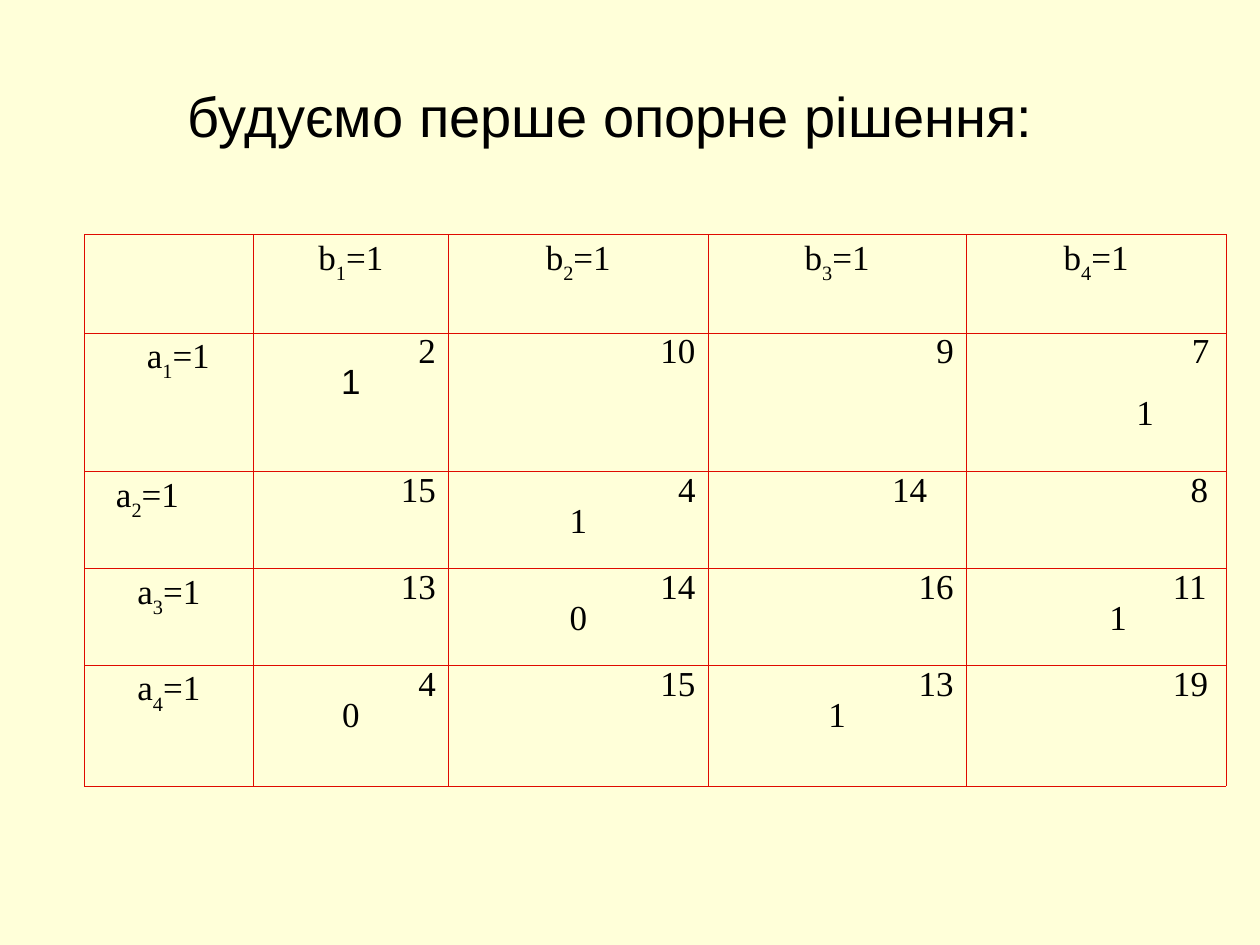
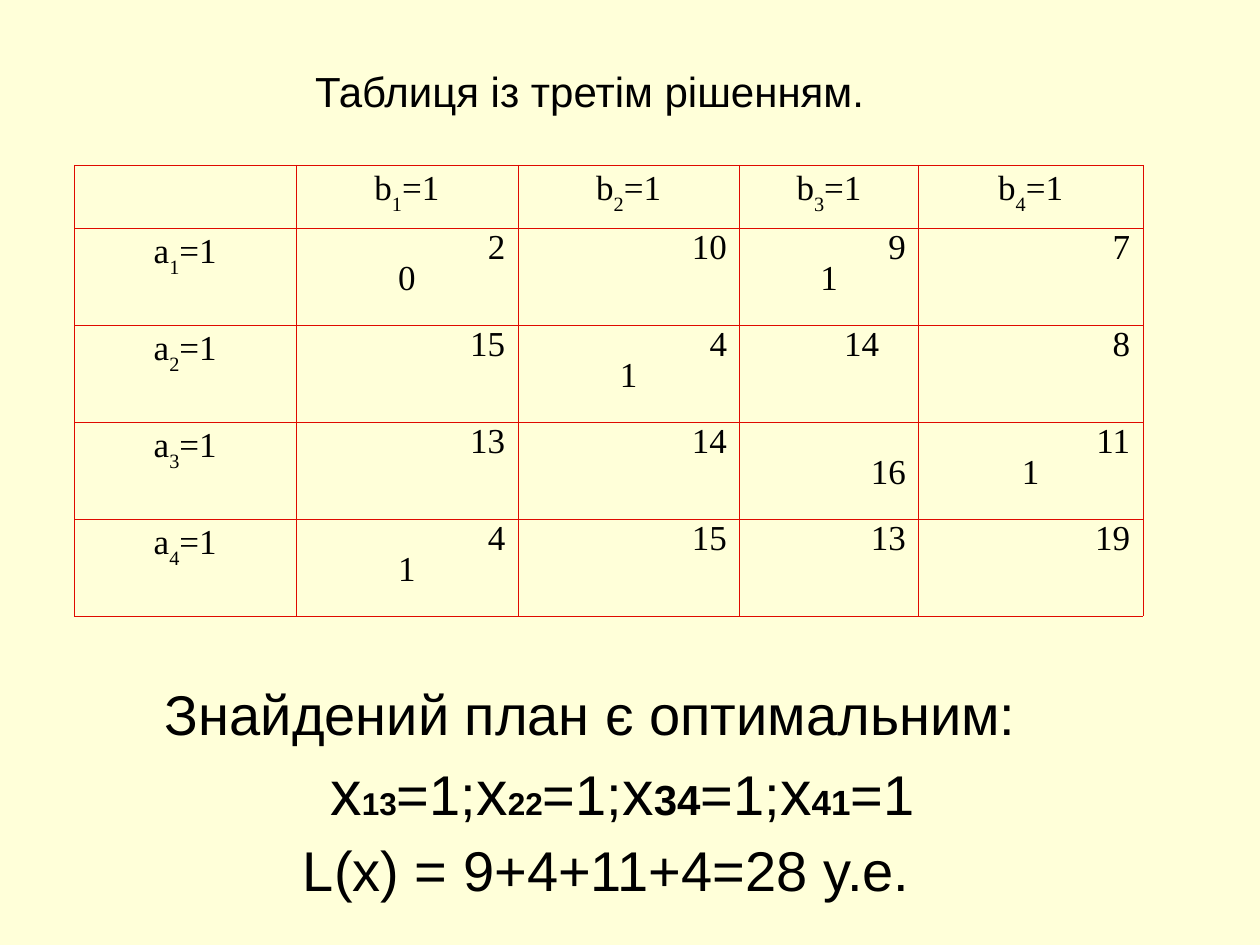
from lxml import etree
from pptx import Presentation
from pptx import util as u
from pptx.dml.color import RGBColor
from pptx.enum import text
from pptx.oxml import ns

Inches, Pt = u.Inches, u.Pt
CREAM = RGBColor(0xFF, 0xFF, 0xD9)
BLACK = RGBColor(0, 0, 0)
RED = RGBColor(0xDF, 0x0A, 0x00)
SANS, SERIF = "Arial", "Times New Roman"
LEFT, CENTER, RIGHT = text.PP_ALIGN.LEFT, text.PP_ALIGN.CENTER, text.PP_ALIGN.RIGHT

# Transport costs, shared by both plans
COSTS = [[2, 10, 9, 7], [15, 4, 14, 8], [13, 14, 16, 11], [4, 15, 13, 19]]


def add_slide(prs):
    s = prs.slides.add_slide(prs.slide_layouts[6])
    s.background.fill.solid()
    s.background.fill.fore_color.rgb = CREAM
    return s


def style(p, size, name, align=CENTER, spacing=None):
    p.font.size, p.font.name = Pt(size), name
    p.font.color.rgb = BLACK
    p.alignment, p.line_spacing = align, spacing


def indent(p, left):
    p._p.get_or_add_pPr().set("marL", str(Inches(left)))


def add_text_box(s, left, top, width, height, anchor=text.MSO_ANCHOR.TOP):
    box = s.shapes.add_textbox(Inches(left), Inches(top), Inches(width), Inches(height))
    tf = box.text_frame
    tf.word_wrap, tf.vertical_anchor = True, anchor
    return tf


def add_title(s, left, top, width, height, title, size):
    p = add_text_box(s, left, top, width, height, text.MSO_ANCHOR.MIDDLE).paragraphs[0]
    p.text = title
    style(p, size, SANS)


def set_borders(cell):
    tcPr = cell._tc.get_or_add_tcPr()
    for i, side in enumerate(("lnL", "lnR", "lnT", "lnB")):
        ln = etree.Element(ns.qn("a:" + side), w=str(Pt(0.06)))
        fill = etree.SubElement(ln, ns.qn("a:solidFill"))
        etree.SubElement(fill, ns.qn("a:srgbClr"), val=str(RED))
        tcPr.insert(i, ln)


def write_label(cell, letter, number):
    p = cell.text_frame.paragraphs[0]
    style(p, 20, SERIF, spacing=0.8)
    for part in (letter, str(number), "=1"):
        r = p.add_run()
        r.text = part
        if part == str(number):
            r.font._element.set("baseline", "-30000")


def write_cost(cell, cost, assigned):
    tf = cell.text_frame
    p = tf.paragraphs[0]
    p.text = str(cost)
    style(p, 20, SERIF, RIGHT, 0.8)
    if assigned is not None:
        p = tf.add_paragraph()
        p.text = str(assigned)
        style(p, 20, SERIF, spacing=0.8)


def add_plan_table(s, left, top, widths, heights, plan, left_indents):
    """plan: (row, column) -> amount; left_indents: left-aligned first lines."""
    frame = s.shapes.add_table(len(heights), len(widths), Inches(left), Inches(top),
                               Inches(sum(widths)), Inches(sum(heights)))
    table = frame.table
    table.first_row = table.horz_banding = False
    for column, width in zip(table.columns, widths):
        column.width = Inches(width)
    for row, height in zip(table.rows, heights):
        row.height = Inches(height)
    for i in range(len(heights)):
        for j in range(len(widths)):
            cell = table.cell(i, j)
            cell.fill.background()
            set_borders(cell)
            if i and j:
                write_cost(cell, COSTS[i - 1][j - 1], plan.get((i, j)))
            elif i or j:
                write_label(cell, "a" if i else "b", i or j)
    for (i, j), offset in left_indents.items():
        p = table.cell(i, j).text_frame.paragraphs[0]
        p.alignment = LEFT
        indent(p, offset)
    return table


def add_conclusion(s):
    tf = add_text_box(s, 0.27, 5.4, 8.84, 1.92)
    heading, solution, total = tf.paragraphs[0], tf.add_paragraph(), tf.add_paragraph()
    for p, offset in ((heading, 0), (solution, 0.5), (total, 0.25)):
        style(p, 32, SANS, spacing=0.9)
        p.space_before = Pt(8)
        indent(p, offset)
    heading.text = "Знайдений план є оптимальним:"
    total.text = "L(x) = 9+4+11+4=28 y.e."
    for index, size in (("13", 18), ("22", 18), ("34", 24), ("41", 20)):
        ending = "=1" if index == "41" else "=1;"
        for part, part_size in (("x", 36), (index, size), (ending, 32)):
            r = solution.add_run()
            r.text = part
            r.font.size, r.font.bold = Pt(part_size), part == index


def main():
    prs = Presentation()
    prs.slide_width, prs.slide_height = Inches(10), Inches(7.5)

    # First feasible plan
    s = add_slide(prs)
    add_title(s, 0.43, 0.76, 8.83, 0.3, "будуємо перше опорне рішення:", 32)
    plan = {(1, 1): 1, (1, 4): 1, (2, 2): 1, (3, 2): 0, (3, 4): 1, (4, 1): 0, (4, 3): 1}
    table = add_plan_table(
        s, 0.67, 1.86, [1.34, 1.55, 2.06, 2.05, 2.06], [0.78, 1.1, 0.77, 0.77, 0.96], plan,
        {(1, 4): 1.69, (2, 0): 0.15, (2, 3): 1.36, (2, 4): 1.68, (3, 4): 1.54, (4, 4): 1.54})
    indent(table.cell(1, 0).text_frame.paragraphs[0], 0.15)
    indent(table.cell(3, 4).text_frame.paragraphs[1], 0.35)
    table.cell(1, 1).text_frame.paragraphs[1].font.name = SANS
    p = table.cell(1, 4).text_frame.paragraphs[1]
    p.alignment, p.space_before = LEFT, Pt(17.7)
    indent(p, 1.25)

    # Third, optimal plan
    s = add_slide(prs)
    add_title(s, 0.43, 0.21, 8.5, 1.02, "Таблиця із третім рішенням.", 24)
    add_conclusion(s)
    plan = {(1, 1): 0, (1, 3): 1, (2, 2): 1, (3, 4): 1, (4, 1): 1}
    table = add_plan_table(s, 0.59, 1.31, [1.76, 1.76, 1.76, 1.42, 1.78],
                           [0.5] + [0.77] * 4, plan, {(2, 3): 0.73})
    table.cell(3, 3).margin_top = Inches(0.3)

    prs.save("out.pptx")


if __name__ == "__main__":
    main()
